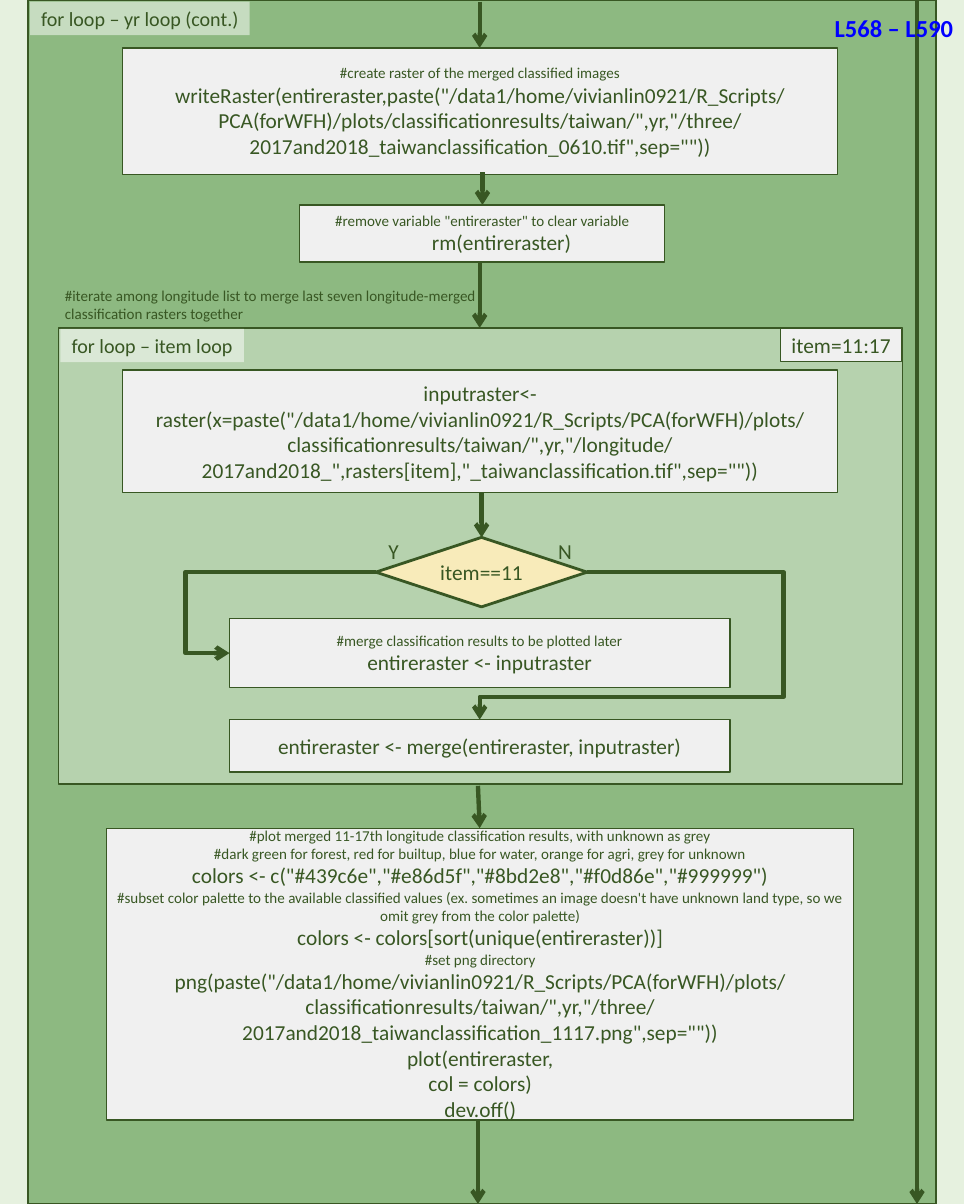
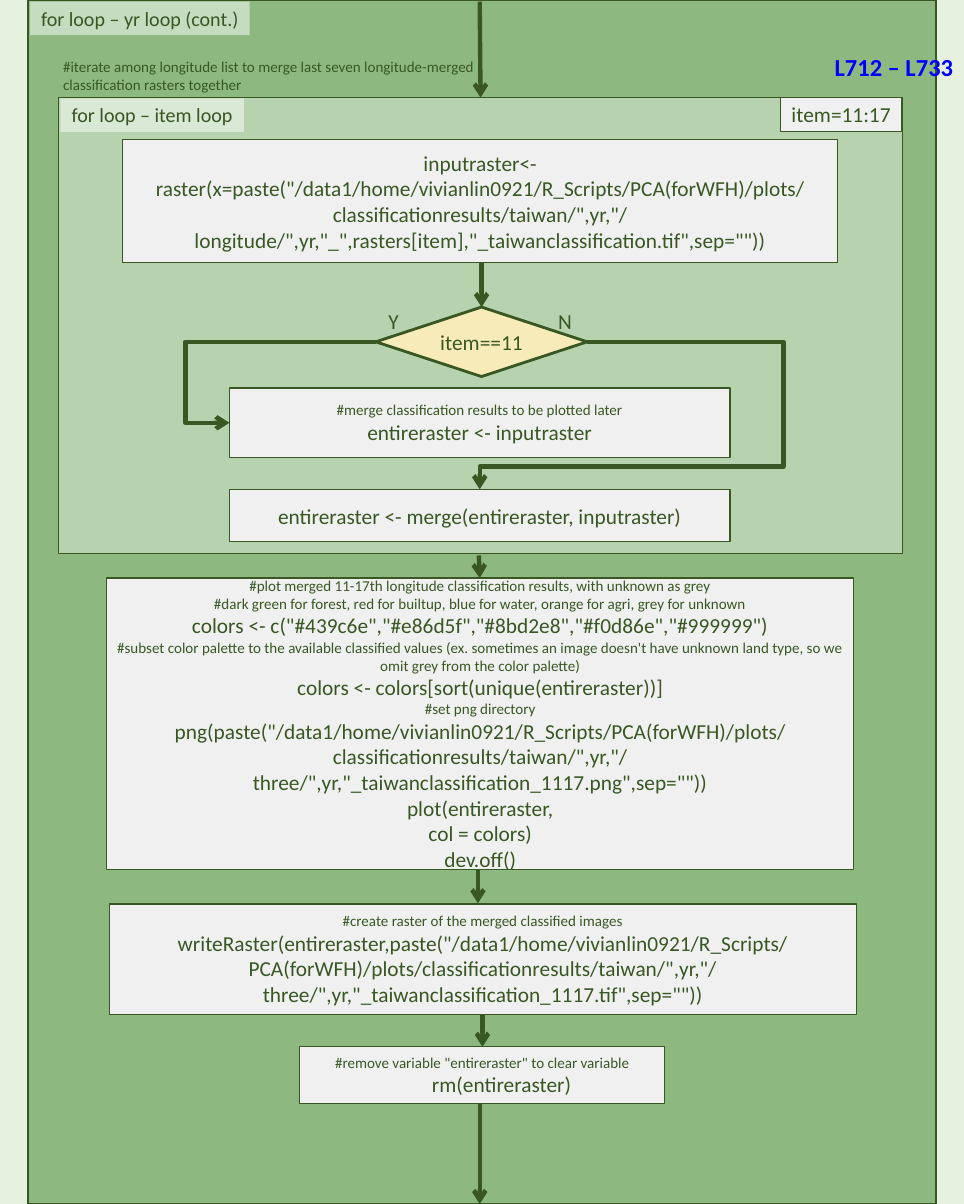
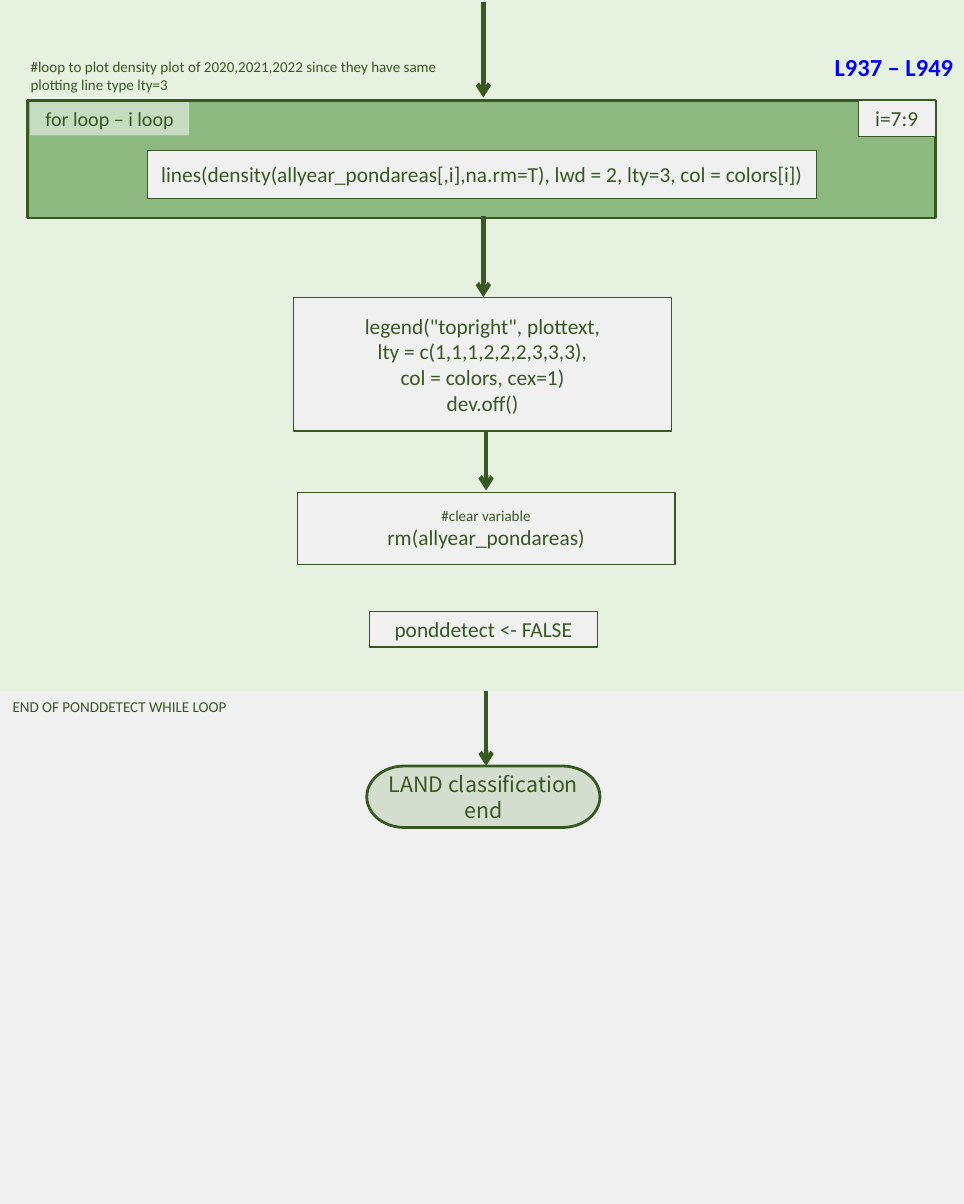
from lxml import etree
from pptx import Presentation
from pptx.dml.color import RGBColor
from pptx.enum import shapes as kinds, text as tx
from pptx.oxml.ns import qn
from pptx.util import Pt

# Content
HOME = '"/data1/home/vivianlin0921/R_Scripts/PCA(forWFH)/plots/classificationresults/taiwan/",yr,"/'
END = ',sep=""))'
YEAR = "for loop – yr loop (cont.)"
NOTE = ("#iterate among longitude list to merge last seven longitude-merged "
        "classification rasters together")
CLEAR = ['#remove variable "entireraster" to clear variable', "rm(entireraster)"]
KEEP = ["#merge classification results to be plotted later",
        "entireraster <- inputraster"]
MERGE = ["entireraster <- merge(entireraster, inputraster)"]
LEGEND = ['legend("topright", plottext,', "lty = c(1,1,1,2,2,2,3,3,3),",
          "col = colors, cex=1)", "dev.off()"]
LINES = ["lines(density(allyear_pondareas[,i],na.rm=T), lwd = 2, lty=3, col = colors[i])"]
DENSE = ("#loop to plot density plot of 2020,2021,2022 since they have same "
         "plotting line type lty=3")


def read_code(stem):
    return [f'inputraster<- raster(x=paste({HOME}longitude/{stem}_",rasters[item],'
            f'"_taiwanclassification.tif"{END}']


def save_code(stem):
    return ["#create raster of the merged classified images",
            f"writeRaster(entireraster,paste({HOME}three/{stem}.tif\"{END}"]


def plot_code(stem):
    return ["#plot merged 11-17th longitude classification results, with unknown as grey",
            "#dark green for forest, red for builtup, blue for water, "
            "orange for agri, grey for unknown",
            'colors <- c("#439c6e","#e86d5f","#8bd2e8","#f0d86e","#999999")',
            "#subset color palette to the available classified values (ex. sometimes "
            "an image doesn't have unknown land type, so we omit grey from the color palette)",
            "colors <- colors[sort(unique(entireraster))]",
            "#set png directory",
            f"png(paste({HOME}three/{stem}.png\"{END}",
            "plot(entireraster,", "col = colors)", "dev.off()"]


# Shared style
WIDE, HIGH = 768.24, 959.76
INK = RGBColor(0x38, 0x57, 0x23)
PALE = RGBColor(0xE6, 0xF1, 0xDF)
OUTER = RGBColor(0x8D, 0xB9, 0x81)
INNER = RGBColor(0xB6, 0xD2, 0xAE)
GREY = RGBColor(0xF0, 0xF0, 0xF0)
SAND = RGBColor(0xF8, 0xEB, 0xBA)
SAGE = RGBColor(0xB3, 0xC9, 0xA9)
WHITE = RGBColor(0xFF, 0xFF, 0xFF)
BLUE = RGBColor(0x00, 0x00, 0xFF)
FONT = "Calibri"
CODE, SMALL, LABEL, REF = 17, 12, 16, 19.5
KIND = kinds.MSO_SHAPE
PROC, RECT = KIND.FLOWCHART_PROCESS, KIND.RECTANGLE
MID = 382.3

deck = Presentation()
deck.slide_width, deck.slide_height = Pt(WIDE), Pt(HIGH)


# Helpers
def write(shape, lines, size=None, center=True, top=False, color=INK, bold=False,
          font=FONT, wrap=True, indent=0):
    """Lines that open with # are small remarks; the others are code."""
    frame = shape.text_frame
    frame.word_wrap = wrap
    frame.vertical_anchor = tx.MSO_ANCHOR.TOP if top else tx.MSO_ANCHOR.MIDDLE
    for i, line in enumerate(lines):
        para = frame.add_paragraph() if i else frame.paragraphs[0]
        para.text = line
        para.alignment = tx.PP_ALIGN.CENTER if center else tx.PP_ALIGN.LEFT
        remark = line.startswith("#")
        para.font.size = Pt(size or (SMALL if remark else CODE))
        para.font.name, para.font.bold = font, bold
        para.font.color.rgb = color
        if indent and not remark:
            para._p.get_or_add_pPr().set("marL", str(Pt(indent)))


def box(page, at, lines=(), kind=PROC, fill=GREY, line=1, alpha=None, **style):
    shape = page.shapes.add_shape(kind, *map(Pt, at))
    shape.shadow.inherit = False
    shape.fill.solid()
    shape.fill.fore_color.rgb = fill
    if alpha:
        tint = shape._element.spPr.find(qn("a:solidFill"))[0]
        etree.SubElement(tint, qn("a:alpha")).set("val", str(alpha * 1000))
    if line:
        shape.line.color.rgb = INK
        shape.line.width = Pt(line)
    else:
        shape.line.fill.background()
    write(shape, lines, **style)


def label(page, at, words):
    box(page, at, [words], RECT, WHITE, 0, 50, size=LABEL, top=True)


def note(page, at, words, **style):
    write(page.shapes.add_textbox(*map(Pt, at)), [words], center=False, top=True, **style)


def arrow(page, x, y, x2, y2, bends=()):
    """Bends are the elbow adjustments; none gives a straight arrow."""
    kind = kinds.MSO_CONNECTOR.ELBOW if bends else kinds.MSO_CONNECTOR.STRAIGHT
    link = page.shapes.add_connector(kind, *map(Pt, (x, y, x2, y2)))
    link.line.color.rgb = INK
    link.line.width = Pt(3.5)
    props = link._element.spPr
    etree.SubElement(props.find(qn("a:ln")), qn("a:tailEnd")).set("type", "arrow")
    etree.SubElement(props, qn("a:effectLst"))
    if bends:
        geom = props.find(qn("a:prstGeom"))
        geom.set("prst", f"bentConnector{len(bends) + 2}")
        guides = geom.find(qn("a:avLst"))
        for i, bend in enumerate(bends, 1):
            guide = etree.SubElement(guides, qn("a:gd"))
            guide.set("name", f"adj{i}")
            guide.set("fmla", f"val {round(bend * 100000)}")


def new_page(ref, top):
    page = deck.slides.add_slide(deck.slide_layouts[6])
    page.background.fill.solid()
    page.background.fill.fore_color.rgb = PALE
    return page, lambda: note(page, (658.1, top, 110.9, 31), ref,
                              size=REF, color=BLUE, bold=True)


def year_loop(page):
    box(page, (22.3, 0, 723.6, HIGH), kind=RECT, fill=OUTER, line=2.25)
    label(page, (24, 1.4, 175, 26.6), YEAR)


def item_loop(page, top, stem):
    """The item loop with its branch, measured down from its top edge."""
    box(page, (46.8, top, 672.5, 363.6), kind=RECT, fill=INNER)
    label(page, (48.2, top + 0.7, 146.2, 26.6), "for loop – item loop")
    box(page, (622.1, top, 96.5, 26.6), ["item=11:17"], line=0.5)
    box(page, (97.9, top + 33.6, 569.5, 97.9), read_code(stem))
    arrow(page, 383.8, top + 131.3, 383.8, top + 167)
    box(page, (299.5, top + 167, 168.5, 55.4), ["item==11"],
        KIND.FLOWCHART_DECISION, SAND, 2.25)
    for x, wide, sign in ((302.4, 23, "Y"), (437.8, 25.9, "N")):
        note(page, (x, top + 164.2, wide, 28), sign, wrap=False)
    fork = top + 194.6
    arrow(page, 299.5, fork, 182.9, top + 259.2, (1.301,))
    arrow(page, 468, fork, MID, top + 312.2, (-1.825, 0.846))
    box(page, (182.9, top + 231.5, 398.9, 55.4), KEEP)
    box(page, (182.9, top + 312.2, 398.9, 41.8), MERGE)


def clear_step(page, top):
    arrow(page, 384.5, top - 25.9, 384.5, top)
    box(page, (239, top, 290.9, 45.4), CLEAR, indent=30.7)


def plot_step(page, top, stem):
    box(page, (85, top, 595.4, 232.6), plot_code(stem))


# Slide 1: first rasters saved, item loop, plot
page, ref = new_page("L568 – L590", 7.2)
year_loop(page)
arrow(page, MID, 1.4, MID, 38.2)
box(page, (97.9, 38.2, 569.5, 100.8),
    save_code("2017and2018_taiwanclassification_0610"))
arrow(page, 730.8, 0, 730.8, HIGH)
ref()
item_loop(page, 261.4, "2017and2018")
arrow(page, MID, 207.4, MID, 261.4)
plot_step(page, 660.2, "2017and2018_taiwanclassification_1117")
arrow(page, 380.9, 626.4, MID, 660.2)
arrow(page, 380.9, 892.8, 380.9, HIGH)
clear_step(page, 163.4)
note(page, (44.6, 224.6, 360, 36), NOTE)

# Slide 2: item loop, plot, raster saved
page, ref = new_page("L712 – L733", 38.2)
stem = '",yr,"_taiwanclassification_1117'
year_loop(page)
arrow(page, MID, 1.4, 383, 77.8)
ref()
note(page, (43.2, 42.5, 360, 36), NOTE)
item_loop(page, 77.8, '",yr,"')
plot_step(page, 460.8, stem)
arrow(page, 381.6, 442.8, MID, 460.8)
arrow(page, 380.9, 693.4, 380.9, 720)
box(page, (87.1, 720.7, 595.4, 87.8), save_code(stem))
clear_step(page, 834.5)
arrow(page, MID, 879.8, MID, HIGH)

# Slide 3: density loop, legend, end of the run
page, ref = new_page("L937 – L949", 38.2)
arrow(page, 385.2, 1.4, 385.2, 77.8)
ref()
box(page, (22, 80.3, 723.6, 93.6), kind=RECT, fill=OUTER, line=2.25)
box(page, (684, 80.3, 61.2, 28), ["i=7:9"], line=0.5)
label(page, (24, 81.4, 126.7, 26.6), "for loop – i loop")
note(page, (17.3, 42.5, 370, 36), DENSE)
box(page, (117.4, 119.8, 533.5, 38.5), LINES)
arrow(page, 385.2, 172.1, 385.2, 236.9)
box(page, (234, 236.9, 301, 106.6), LEGEND)
box(page, (236.9, 392.4, 301, 57.6), ["#clear variable", "rm(allyear_pondareas)"])
arrow(page, 387.4, 343.4, 387.4, 391)
box(page, (0, 550.8, WIDE, HIGH - 550.8), line=0)
box(page, (294.5, 487.4, 181.4, 28.4), ["ponddetect <- FALSE"])
note(page, (2.9, 552.2, 294.5, 21.6), "END OF PONDDETECT WHILE LOOP", size=SMALL)
box(page, (292.3, 610.6, 185.8, 49), ["LAND classification end"],
    KIND.FLOWCHART_TERMINATOR, SAGE, 2.25, 46, font="Noto Sans CJK SC")
arrow(page, 387.4, 550.8, 387.4, 610.6)

deck.save("out.pptx")
